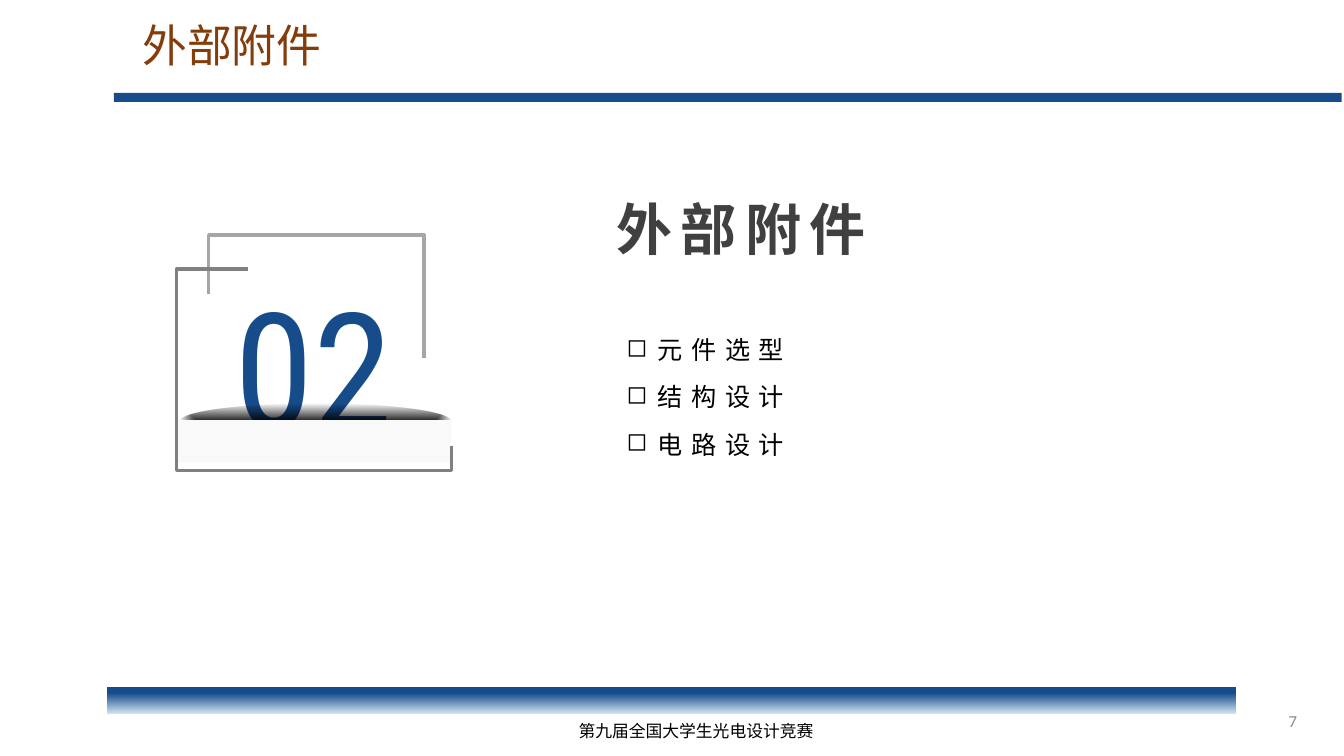
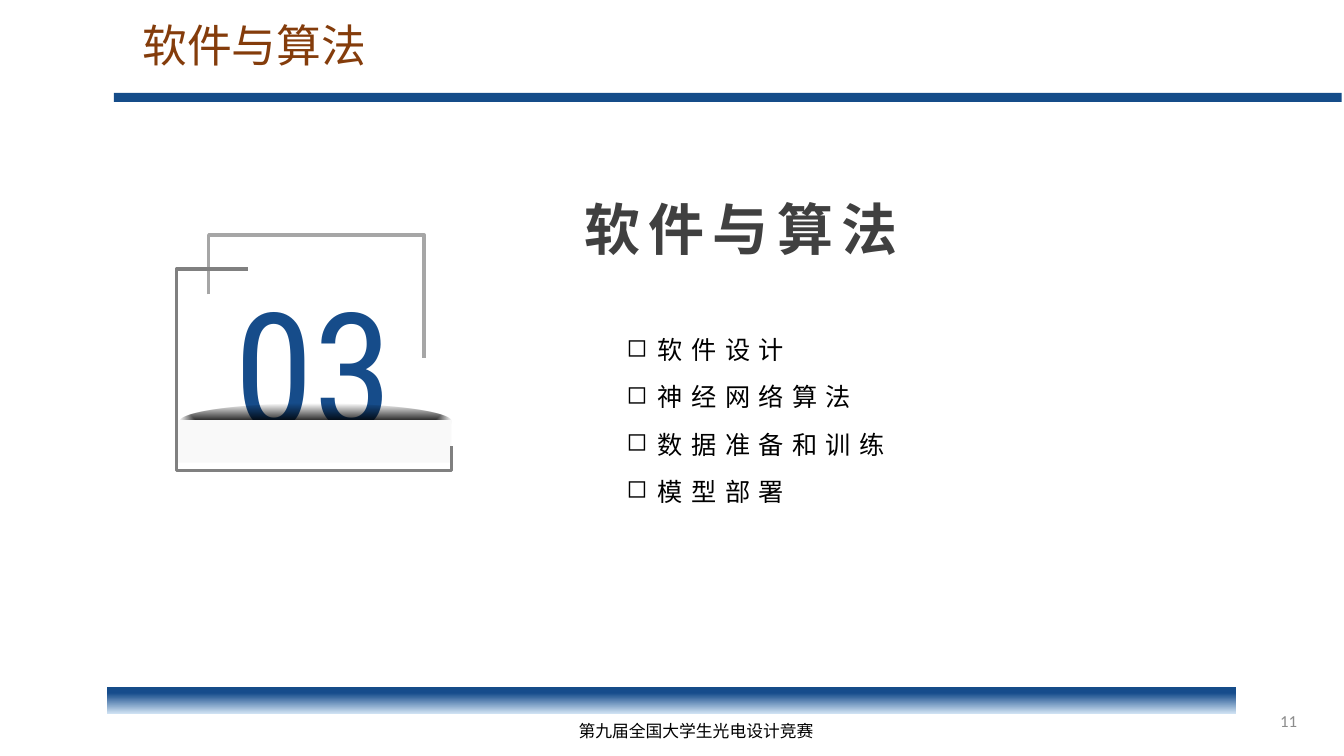
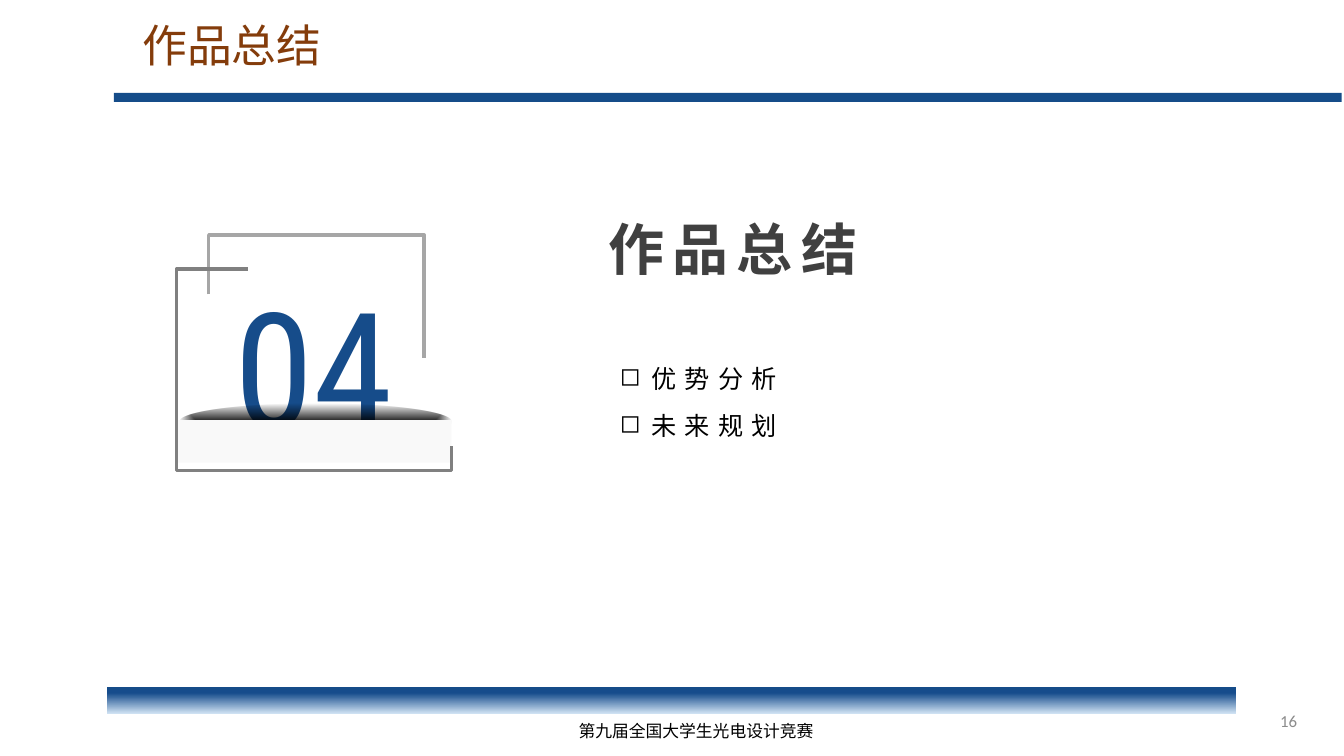
from collections import namedtuple

from lxml import etree
from pptx import Presentation
from pptx.dml.color import RGBColor
from pptx.enum.shapes import MSO_SHAPE
from pptx.enum.text import MSO_ANCHOR, MSO_AUTO_SIZE, PP_ALIGN
from pptx.oxml import parse_xml
from pptx.oxml.ns import qn
from pptx.util import Cm, Pt

RECT, OVAL = MSO_SHAPE.RECTANGLE, MSO_SHAPE.OVAL
LEFT, CENTER, RIGHT = PP_ALIGN.LEFT, PP_ALIGN.CENTER, PP_ALIGN.RIGHT
TOP, MIDDLE = MSO_ANCHOR.TOP, MSO_ANCHOR.MIDDLE
NO_FIT = MSO_AUTO_SIZE.NONE
A = "http://schemas.openxmlformats.org/drawingml/2006/main"

Style = namedtuple("Style", "size color font bold spacing", defaults=(False, 0))
Gradient = namedtuple("Gradient", "stops direction")


class Theme:
    cjk = "Noto Sans CJK SC"
    blue, panel = "154C89", "F9F9F9"
    frame_light, frame_dark = "A6A6A6", "808080"
    title = Style(32, "843C0B", cjk)
    heading = Style(40, "404040", "Calibri", True, 6)
    number = Style(115, "164C8A", "Roboto Condensed")
    item = Style(18, "000000", cjk, False, 6)
    footer = Style(12, "000000", cjk)
    page = Style(12, "8C8C8C", "Calibri")
    # Stops are position, colour and opacity in percent
    bar = Gradient([(0, blue, 100), (22, "164C8C", 100), (100, "CEE1F2", 100)],
                   '<a:lin ang="5400000" scaled="0"/>')
    shade = Gradient([(0, "000000", 90), (100, "000000", 0)],
                     '<a:path path="shape"><a:fillToRect l="50000" t="50000" '
                     'r="50000" b="50000"/></a:path>')


def add_run(p, text, style):
    r = p.add_run()
    r.text = text
    r.font.size, r.font.bold, r.font.name = Pt(style.size), style.bold, style.font
    r.font.color.rgb = RGBColor.from_string(style.color)
    rPr = r.font._element
    rPr.set("spc", str(style.spacing * 100))
    etree.SubElement(rPr, qn("a:ea")).set("typeface", Theme.cjk)


def add_block(shapes, kind, at, fill):
    sp = shapes.add_shape(kind, *map(Cm, at))
    sp.shadow.inherit = False
    sp.line.fill.background()
    if isinstance(fill, str):
        sp.fill.solid()
        sp.fill.fore_color.rgb = RGBColor.from_string(fill)
        return
    stops = "".join(
        f'<a:gs pos="{pos * 1000}"><a:srgbClr val="{color}">'
        f'<a:alpha val="{alpha * 1000}"/></a:srgbClr></a:gs>'
        for pos, color, alpha in fill.stops)
    sp.fill.background()
    spPr = sp._element.spPr
    spPr.replace(spPr.find(qn("a:noFill")), parse_xml(
        f'<a:gradFill xmlns:a="{A}" rotWithShape="1"><a:gsLst>{stops}</a:gsLst>'
        f'{fill.direction}</a:gradFill>'))


# Frame outlines around the section number
FRAMES = [
    (Theme.frame_light, [(5.26, 7.42), (5.26, 5.92), (10.69, 5.92), (10.69, 9.02)]),
    (Theme.frame_dark, [(11.38, 11.25), (11.38, 11.86), (4.45, 11.86),
                        (4.45, 6.78), (6.25, 6.78)]),
]

# Page, number, title, items, then left and top of the heading and of the list
SECTIONS = [
    ("7", "02", "外部附件", ["元件选型", "结构设计", "电路设计"],
     (14.32, 4.78), (15.54, 8.31)),
    ("11", "03", "软件与算法", ["软件设计", "神经网络算法", "数据准备和训练", "模型部署"],
     (14.32, 4.78), (15.54, 8.31)),
    ("16", "04", "作品总结", ["优势分析", "未来规划"],
     (14.11, 5.28), (15.37, 9.04)),
]

prs = Presentation()
prs.slide_width, prs.slide_height = Cm(33.87), Cm(19.05)

for page, number, title, items, heading_at, list_at in SECTIONS:
    s = prs.slides.add_slide(prs.slide_layouts[5])

    # Title
    sp = s.shapes.title
    sp.left, sp.top, sp.width, sp.height = Cm(3.33), Cm(0.33), Cm(26), Cm(1.63)
    tf = sp.text_frame
    tf.auto_size, tf.vertical_anchor = NO_FIT, TOP
    p = tf.paragraphs[0]
    p.alignment = LEFT
    add_run(p, title, Theme.title)

    # Bands
    add_block(s.shapes, RECT, (2.87, 2.34, 30.94, 0.23), Theme.blue)
    add_block(s.shapes, RECT, (2.69, 17.32, 28.47, 0.66), Theme.bar)

    # Single-line texts
    badge = s.shapes.add_group_shape().shapes
    for shapes, text, at, style, align, anchor in [
        (badge, number, (5.44, 6.58, 4.95, 5.18), Theme.number, CENTER, MIDDLE),
        (s.shapes, title, (*heading_at, 8.71, 1.96), Theme.heading, CENTER, MIDDLE),
        (s.shapes, "第九届全国大学生光电设计竞赛", (14.33, 18.03, 6.83, 0.76),
         Theme.footer, LEFT, TOP),
        (s.shapes, page, (25.32, 17.65, 7.62, 1.02), Theme.page, RIGHT, MIDDLE),
    ]:
        tf = shapes.add_textbox(*map(Cm, at)).text_frame
        tf.word_wrap, tf.vertical_anchor = True, anchor
        p = tf.paragraphs[0]
        p.alignment = align
        add_run(p, text, style)

    # Shaded panel and frames over the number
    add_block(badge, OVAL, (4.52, 10.16, 6.86, 0.91), Theme.shade)
    add_block(badge, RECT, (4.45, 10.59, 6.93, 1.07), Theme.panel)
    for color, points in FRAMES:
        start, *rest = [(Cm(x), Cm(y)) for x, y in points]
        outline = badge.build_freeform(*start)
        outline.add_line_segments(rest, close=False)
        sp = outline.convert_to_shape()
        sp.shadow.inherit = False
        sp.fill.background()
        sp.line.color.rgb = RGBColor.from_string(color)
        sp.line.width = Pt(2.5)

    # Bulleted contents
    tf = s.shapes.add_textbox(*map(Cm, (*list_at, 7.8, 1.19 * len(items)))).text_frame
    tf.word_wrap = True
    for i, item in enumerate(items):
        p = tf.add_paragraph() if i else tf.paragraphs[0]
        pPr = p._p.get_or_add_pPr()
        pPr.set("marL", str(Cm(0.79)))
        pPr.set("indent", str(-Cm(0.79)))
        etree.SubElement(pPr, qn("a:buChar")).set("char", "◻")
        p.line_spacing = Pt(21.6)
        p.space_before, p.space_after = Pt(6 if i else 0), Pt(6)
        add_run(p, item, Theme.item)

prs.save("out.pptx")
